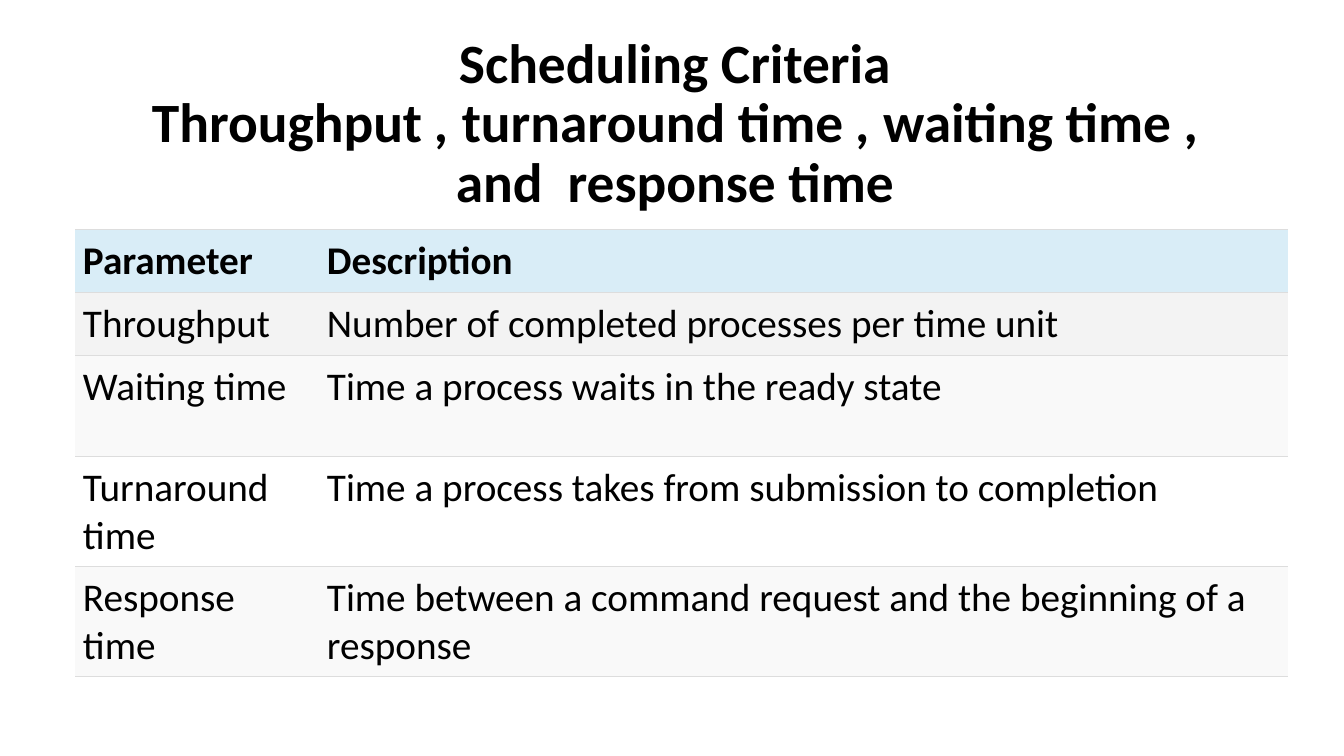
"""Build the slide on scheduling criteria: a title above a table of parameters."""
from lxml.etree import SubElement
from pptx import Presentation
from pptx.dml.color import RGBColor
from pptx.enum.text import MSO_ANCHOR, PP_ALIGN
from pptx.oxml.ns import qn
from pptx.util import Emu, Pt

COLORS = {"text": "000000", "header": "D9EDF7", "first": "F3F3F3",
          "odd": "FFFFFF", "even": "F9F9F9", "border": "DDDDDD"}
FONT = "Calibri"
TITLE = ["Scheduling Criteria\vThroughput ", ", ", "turnaround time ", ", ",
         "waiting time , and  response time"]
COLUMN_WIDTHS = [244, 969]
ROWS = [
    (61, "header", "Parameter", "Description"),
    (61, "first", "Throughput", "Number of completed processes per time unit"),
    (101, "even", "Waiting time", "Time a process waits in the ready state"),
    (101, "odd", "Turnaround time", "Time a process takes from submission to completion"),
    (101, "even", "Response time", "Time between a command request and the beginning of a response"),
]


def px(count):
    return Emu(round(count * 914400 / 100.8))


def style(span, size, bold, italic=False):
    span.font.name = FONT
    span.font.size = Pt(size)
    span.font.bold = bold
    span.font.italic = italic
    span.font.color.rgb = RGBColor.from_string(COLORS["text"])


deck = Presentation()
deck.slide_width, deck.slide_height = px(1344), px(756)
page = deck.slides.add_slide(deck.slide_layouts[6])

title = page.shapes.add_textbox(px(98), px(64), px(1154), px(122))
title.text_frame.word_wrap = True
title.text_frame.vertical_anchor = MSO_ANCHOR.MIDDLE
para = title.text_frame.paragraphs[0]
para.text = TITLE[0]
for words in TITLE[1:]:
    para.add_run().text = words
para.alignment = PP_ALIGN.CENTER
para.line_spacing = 0.9
for span in para.runs:
    style(span, 39.6, True, span.text == ", ")

frame = page.shapes.add_table(len(ROWS), len(COLUMN_WIDTHS), px(75), px(229),
                              px(sum(COLUMN_WIDTHS)), px(sum(row[0] for row in ROWS)))
table = frame.table
for column, width in zip(table.columns, COLUMN_WIDTHS):
    column.width = px(width)
for row, (height, shade, *texts) in zip(table.rows, ROWS):
    row.height = px(height)
    is_header = shade == "header"
    for cell, words in zip(row.cells, texts):
        cell.text_frame.text = words
        style(cell.text_frame.paragraphs[0].runs[0], 28, is_header)
        cell.vertical_anchor = MSO_ANCHOR.MIDDLE if is_header else MSO_ANCHOR.TOP
        cell.margin_left = cell.margin_right = px(8)
        cell.margin_top = cell.margin_bottom = px(8)
        properties = cell._tc.get_or_add_tcPr()
        for side in ("lnL", "lnR"):
            SubElement(SubElement(properties, qn(f"a:{side}"), w="0"), qn("a:noFill"))
        for side in ("lnT", "lnB"):
            line = SubElement(properties, qn(f"a:{side}"), w=str(Pt(0.75)))
            paint = SubElement(line, qn("a:solidFill"))
            SubElement(paint, qn("a:srgbClr"), val=COLORS["border"])
        cell.fill.solid()
        cell.fill.fore_color.rgb = RGBColor.from_string(COLORS[shade])

deck.save("out.pptx")
